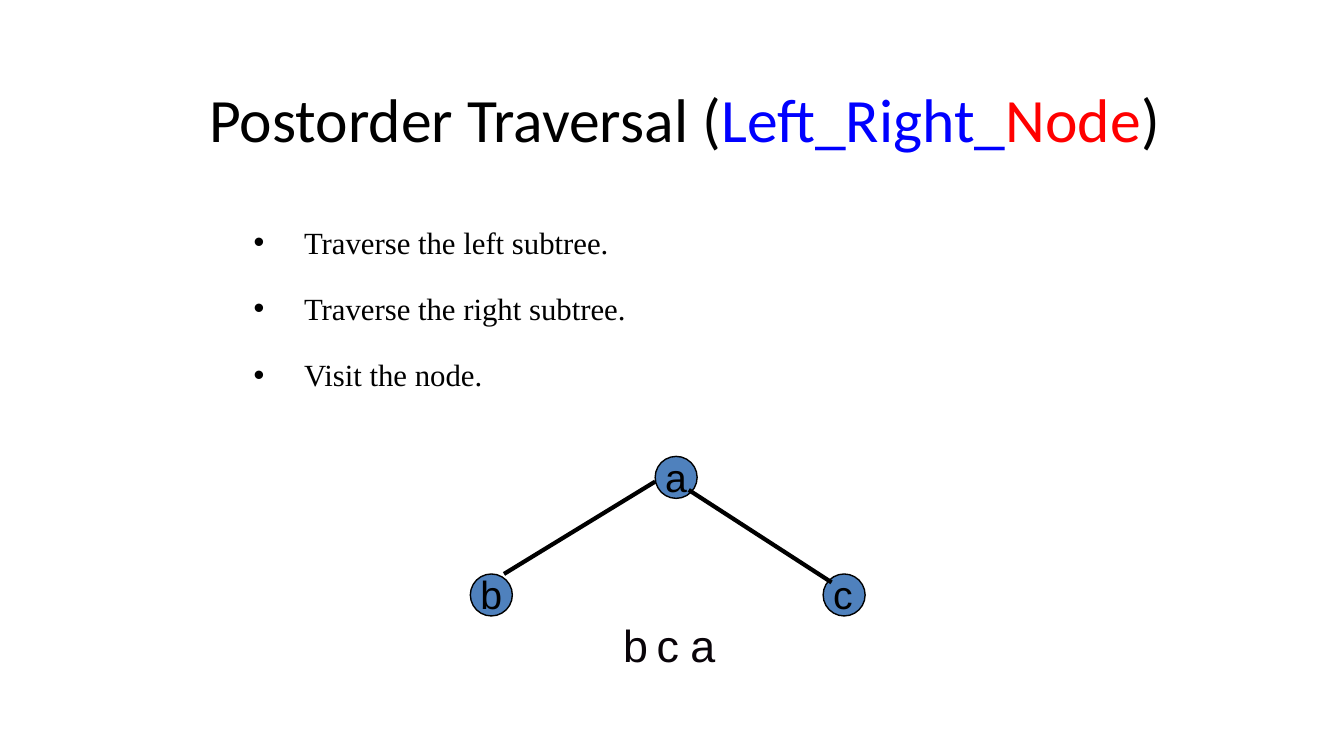
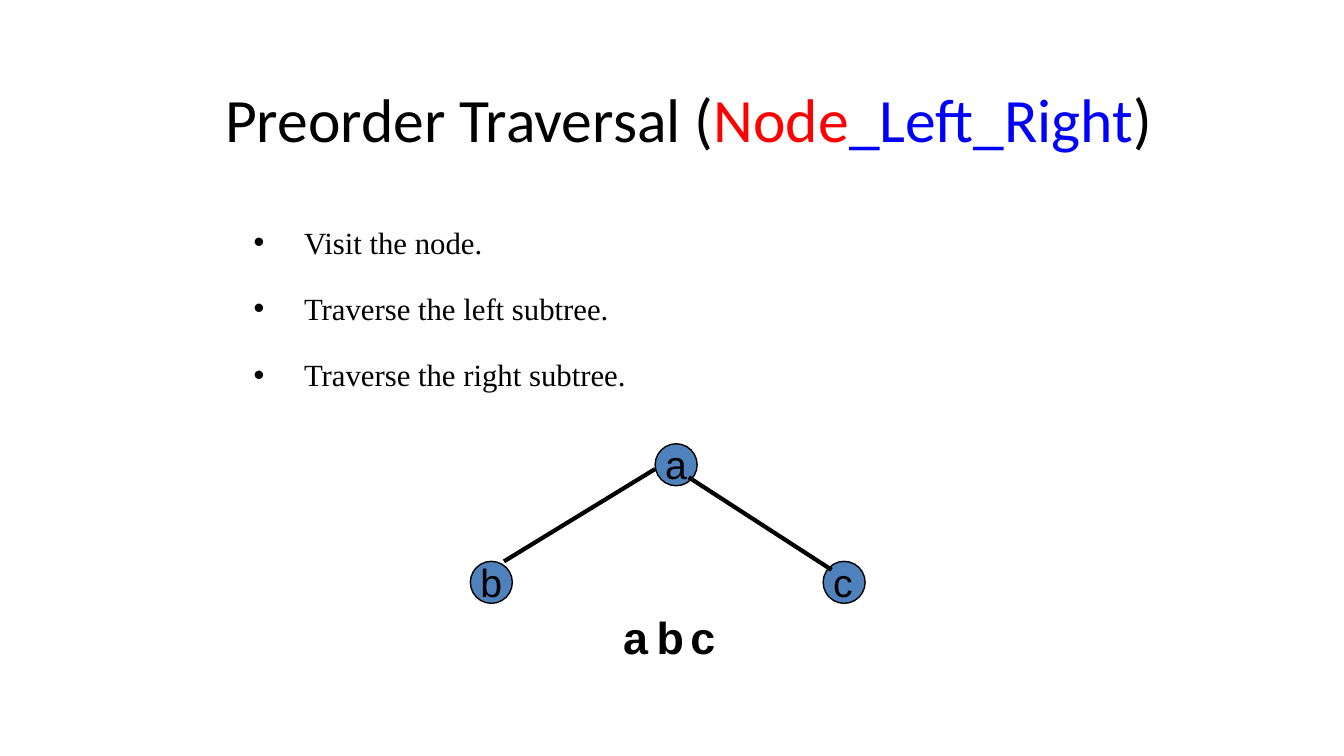
"""Build two slides on postorder and preorder traversal of a binary tree."""
from dataclasses import dataclass
from typing import NamedTuple

from pptx import Presentation
from pptx import util as u
from pptx.dml.color import RGBColor
from pptx.enum import shapes, text
from pptx.oxml import ns
from lxml import etree

BLACK = RGBColor(0x00, 0x00, 0x00)
NEAR_BLACK = RGBColor(0x09, 0x04, 0x09)
BLUE = RGBColor(0x00, 0x00, 0xFF)
RED = RGBColor(0xFF, 0x00, 0x00)
NODE_FILL = RGBColor(0x4F, 0x81, 0xBD)

TITLE_RIGHT = 840
NODE_SIZE = 30
LABEL_RISE = 6
ORDER_LEFT = 438
ORDER_STEP = 24
BULLET_INDENT = 36
BULLET_GAP = 21


class Span(NamedTuple):
    words: str
    color: RGBColor


class Node(NamedTuple):
    name: str
    left: float
    drop: float


class Edge(NamedTuple):
    left: float
    drop: float
    end_left: float
    end_drop: float


@dataclass(frozen=True)
class Traversal:
    title: tuple[Span, ...]
    title_left: float
    steps: tuple[str, ...]
    tree_top: float
    order: str
    order_top: float
    order_color: RGBColor
    order_bold: bool


NODES = (Node("a", 468, 0), Node("b", 336, 84), Node("c", 588, 84))
EDGES = (Edge(468, 18, 360, 84), Edge(492, 24, 594, 90))

LEFT_STEP = "Traverse the left subtree."
RIGHT_STEP = "Traverse the right subtree."
NODE_STEP = "Visit the node."

TRAVERSALS = (
    Traversal(
        title=(Span("Postorder Traversal (", BLACK), Span("Left_Right_", BLUE),
               Span("Node", RED), Span(")", BLACK)),
        title_left=138,
        steps=(LEFT_STEP, RIGHT_STEP, NODE_STEP),
        tree_top=326,
        order="bca",
        order_top=438,
        order_color=NEAR_BLACK,
        order_bold=False,
    ),
    Traversal(
        title=(Span("Preorder Traversal (", BLACK), Span("Node", RED),
               Span("_Left_Right", BLUE), Span(")", BLACK)),
        title_left=144,
        steps=(NODE_STEP, LEFT_STEP, RIGHT_STEP),
        tree_top=317,
        order="abc",
        order_top=432,
        order_color=BLACK,
        order_bold=True,
    ),
)


def place(box, left: float, top: float, width: float, height: float) -> None:
    """Move and size a placeholder, in points."""
    box.left, box.top = u.Pt(left), u.Pt(top)
    box.width, box.height = u.Pt(width), u.Pt(height)


def add_span(para, span: Span, font: str, size: float, bold: bool = False) -> None:
    """Append one formatted run to a paragraph."""
    run = para.add_run()
    run.text = span.words
    run.font.name = font
    run.font.size = u.Pt(size)
    run.font.bold = bold
    run.font.color.rgb = span.color


def fill_title(box, traversal: Traversal) -> None:
    """Write the coloured title."""
    place(box, traversal.title_left, 30, TITLE_RIGHT - traversal.title_left, 108)
    frame = box.text_frame
    frame.auto_size = text.MSO_AUTO_SIZE.NONE
    frame.vertical_anchor = text.MSO_ANCHOR.MIDDLE
    para = frame.paragraphs[0]
    para.alignment = text.PP_ALIGN.CENTER
    for span in traversal.title:
        add_span(para, span, "Calibri", 44)


def fill_steps(box, steps: tuple[str, ...]) -> None:
    """Write the bulleted steps."""
    place(box, 174, 156, 612, 132)
    frame = box.text_frame
    frame.auto_size = text.MSO_AUTO_SIZE.NONE
    for index, step in enumerate(steps):
        para = frame.add_paragraph() if index else frame.paragraphs[0]
        properties = para._p.get_or_add_pPr()
        properties.set("marL", str(u.Pt(BULLET_INDENT)))
        properties.set("indent", str(u.Pt(-BULLET_INDENT)))
        etree.SubElement(properties, ns.qn("a:buChar"), char="•")
        para.space_before = u.Pt(BULLET_GAP if index else 0)
        add_span(para, Span(step, BLACK), "Times New Roman", 22)


def add_letter(parent, letter: Span, left: float, top: float, width: float,
               height: float, size: float, bold: bool = False) -> None:
    """Add a text box holding one letter."""
    box = parent.add_textbox(u.Pt(left), u.Pt(top), u.Pt(width), u.Pt(height))
    box.text_frame.word_wrap = True
    add_span(box.text_frame.paragraphs[0], letter, "Arial", size, bold)


def add_node(parent, node: Node, top: float) -> None:
    """Add the circle of a tree node."""
    circle = parent.add_shape(shapes.MSO_SHAPE.OVAL, u.Pt(node.left),
                              u.Pt(top + node.drop), u.Pt(NODE_SIZE), u.Pt(NODE_SIZE))
    circle.shadow.inherit = False
    circle.fill.solid()
    circle.fill.fore_color.rgb = NODE_FILL
    circle.line.color.rgb = BLACK
    circle.line.width = u.Pt(1)


def add_edge(parent, edge: Edge, top: float) -> None:
    """Add the line between two tree nodes."""
    line = parent.add_connector(shapes.MSO_CONNECTOR.STRAIGHT,
                                u.Pt(edge.left), u.Pt(top + edge.drop),
                                u.Pt(edge.end_left), u.Pt(top + edge.end_drop))
    line.line.color.rgb = BLACK
    line.line.width = u.Pt(3)
    etree.SubElement(line._element.spPr, ns.qn("a:effectLst"))


def add_tree(page, top: float) -> None:
    """Add the grouped tree of circles, lines and letters."""
    parent = page.shapes.add_group_shape().shapes
    for node in NODES:
        add_node(parent, node, top)
    for edge in EDGES:
        add_edge(parent, edge, top)
    for node in NODES:
        add_letter(parent, Span(node.name, BLACK), node.left,
                   top + node.drop - LABEL_RISE, 60, 41, 28)


def add_page(deck, traversal: Traversal) -> None:
    """Add the slide of one traversal."""
    page = deck.slides.add_slide(deck.slide_layouts[1])
    fill_title(page.shapes.title, traversal)
    fill_steps(page.placeholders[1], traversal.steps)
    add_tree(page, traversal.tree_top)
    for index, name in enumerate(traversal.order):
        add_letter(page.shapes, Span(name, traversal.order_color),
                   ORDER_LEFT + index * ORDER_STEP, traversal.order_top,
                   30, 46, 32, traversal.order_bold)


def main() -> None:
    """Build and save the deck."""
    deck = Presentation()
    deck.slide_width, deck.slide_height = u.Pt(960), u.Pt(540)
    for traversal in TRAVERSALS:
        add_page(deck, traversal)
    deck.save("out.pptx")


if __name__ == "__main__":
    main()
